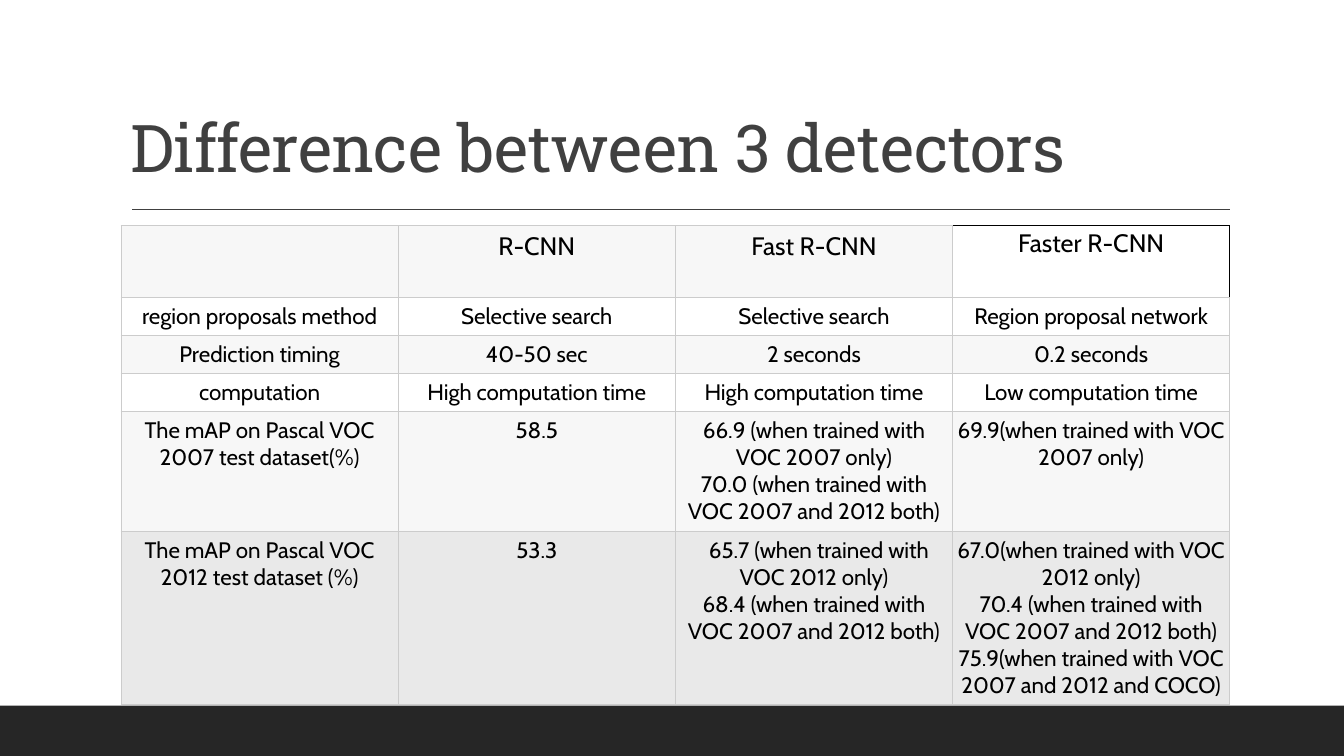
from lxml.etree import SubElement
from pptx import Presentation
from pptx.dml.color import RGBColor
from pptx.enum.shapes import MSO_CONNECTOR, MSO_SHAPE
from pptx.enum.text import MSO_ANCHOR, PP_ALIGN
from pptx.oxml.ns import qn
from pptx.util import Cm, Pt

GREY, BLACK = ("CCCCCC", 0.75), ("000000", 1)
ROW_HEIGHTS = [1.81, 0.96, 0.96, 0.96, 3.02, 4.36]
ROW_FILLS = ["F7F7F7", "FFFFFF", "F7F7F7", "FFFFFF", "F7F7F7", "E9E9E9"]
DETECTORS = [
    ["", "R-CNN", "Fast R-CNN", "Faster R-CNN"],
    ["region proposals method", "Selective search", "Selective search",
     "Region proposal network"],
    ["Prediction timing", "40-50 sec", "2 seconds", "0.2 seconds"],
    ["computation", "High computation time", "High computation time",
     "Low computation time"],
    ["The mAP on Pascal VOC 2007 test dataset(%)", "58.5",
     "66.9 (when trained with VOC 2007 only)\n"
     "70.0 (when trained with VOC 2007 and 2012 both)",
     "69.9(when trained with VOC 2007 only)"],
    ["The mAP on Pascal VOC 2012 test dataset (%)", "53.3",
     "  65.7 (when trained with VOC 2012 only)\n"
     "68.4 (when trained with VOC 2007 and 2012 both)",
     "67.0(when trained with VOC 2012 only)\n"
     "70.4 (when trained with VOC 2007 and 2012 both)\n"
     "75.9(when trained with VOC 2007 and 2012 and COCO)"],
]


def color(value):
    """Return the colour for a hex string."""
    return RGBColor.from_string(value)


def style_font(font, name, size, value):
    """Set the face, size and colour of a font."""
    font.name, font.size = name, Pt(size)
    font.color.rgb = color(value)


def add_footer_band(page, left, top, width, height):
    """Draw the dark band along the foot of the page."""
    band = page.shapes.add_shape(MSO_SHAPE.RECTANGLE, Cm(left), Cm(top),
                                 Cm(width), Cm(height))
    band.shadow.inherit = False
    band.fill.solid()
    band.fill.fore_color.rgb = color("262626")
    band.line.fill.background()


def add_title(page, left, top, width, height):
    """Place the title in its box and the rule beneath it."""
    box = page.shapes.add_textbox(Cm(left), Cm(top), Cm(width), Cm(height))
    frame = box.text_frame
    frame.word_wrap = True
    frame.vertical_anchor = MSO_ANCHOR.BOTTOM
    frame.text = "Difference between 3 detectors"
    para = frame.paragraphs[0]
    para.line_spacing = 0.9
    span = para.runs[0]
    style_font(span.font, "Roboto Slab", 47, "404040")
    span._r.get_or_add_rPr().set("spc", "-50")

    rule_top = Cm(top + height + 0.46)
    rule = page.shapes.add_connector(MSO_CONNECTOR.STRAIGHT, Cm(left + 0.28),
                                     rule_top, Cm(left + width), rule_top)
    rule.line.color.rgb = color("404040")
    rule.line.width = Pt(1)
    SubElement(rule._element.spPr, qn("a:effectLst"))


def set_borders(cell, left, right, top, bottom):
    """Give each side of a cell its colour and width."""
    properties = cell._tc.get_or_add_tcPr()
    sides = {"L": left, "R": right, "T": top, "B": bottom}
    for side, (value, points) in sides.items():
        line = SubElement(properties, qn(f"a:ln{side}"), w=str(Pt(points)))
        fill = SubElement(line, qn("a:solidFill"))
        SubElement(fill, qn("a:srgbClr"), val=value)


def fill_cell(cell, text, size, fill, is_corner):
    """Write and style one table cell."""
    horizontal, vertical = (0.08, 0.05) if is_corner else (0.12, 0.13)
    cell.margin_left = cell.margin_right = Cm(horizontal)
    cell.margin_top = cell.margin_bottom = Cm(vertical)
    outer = BLACK if is_corner else GREY
    set_borders(cell, GREY, outer, outer, GREY)
    cell.fill.solid()
    cell.fill.fore_color.rgb = color("FFFFFF" if is_corner else fill)
    cell.text_frame.text = text
    for para in cell.text_frame.paragraphs:
        para.alignment = PP_ALIGN.CENTER
        for span in para.runs:
            style_font(span.font, "Cabin", size, "000000")


def add_detector_table(page, left, top, width):
    """Build the comparison table of the detectors."""
    column_count = len(DETECTORS[0])
    frame = page.shapes.add_table(len(DETECTORS), column_count, Cm(left),
                                  Cm(top), Cm(width), Cm(sum(ROW_HEIGHTS)))
    table = frame.table
    table.horz_banding = table.first_row = False
    for column in table.columns:
        column.width = Cm(width / column_count)
    for row_index, texts in enumerate(DETECTORS):
        table.rows[row_index].height = Cm(ROW_HEIGHTS[row_index])
        size = 18 if row_index == 0 else 16
        for column_index, text in enumerate(texts):
            is_corner = row_index == 0 and column_index == column_count - 1
            fill_cell(table.cell(row_index, column_index), text, size,
                      ROW_FILLS[row_index], is_corner)


def main():
    """Build the slide and save it."""
    deck = Presentation()
    deck.slide_width, deck.slide_height = Cm(33.87), Cm(19.05)
    page = deck.slides.add_slide(deck.slide_layouts[6])
    add_footer_band(page, 0, 17.78, 33.87, 1.27)
    add_title(page, 3.05, 0.79, 27.94, 4.03)
    add_detector_table(page, 3.05, 5.69, 27.94)
    deck.save("out.pptx")


if __name__ == "__main__":
    main()
